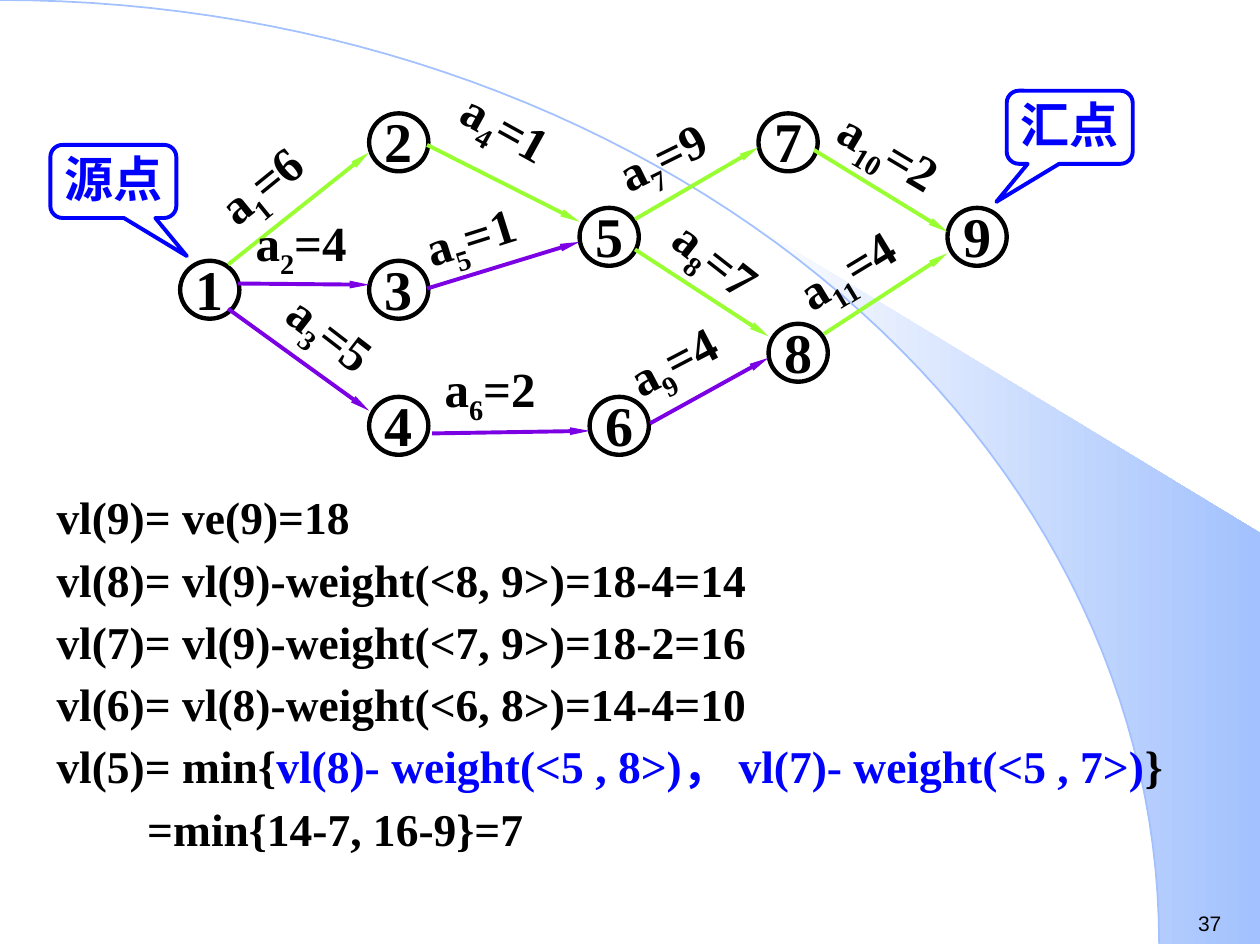
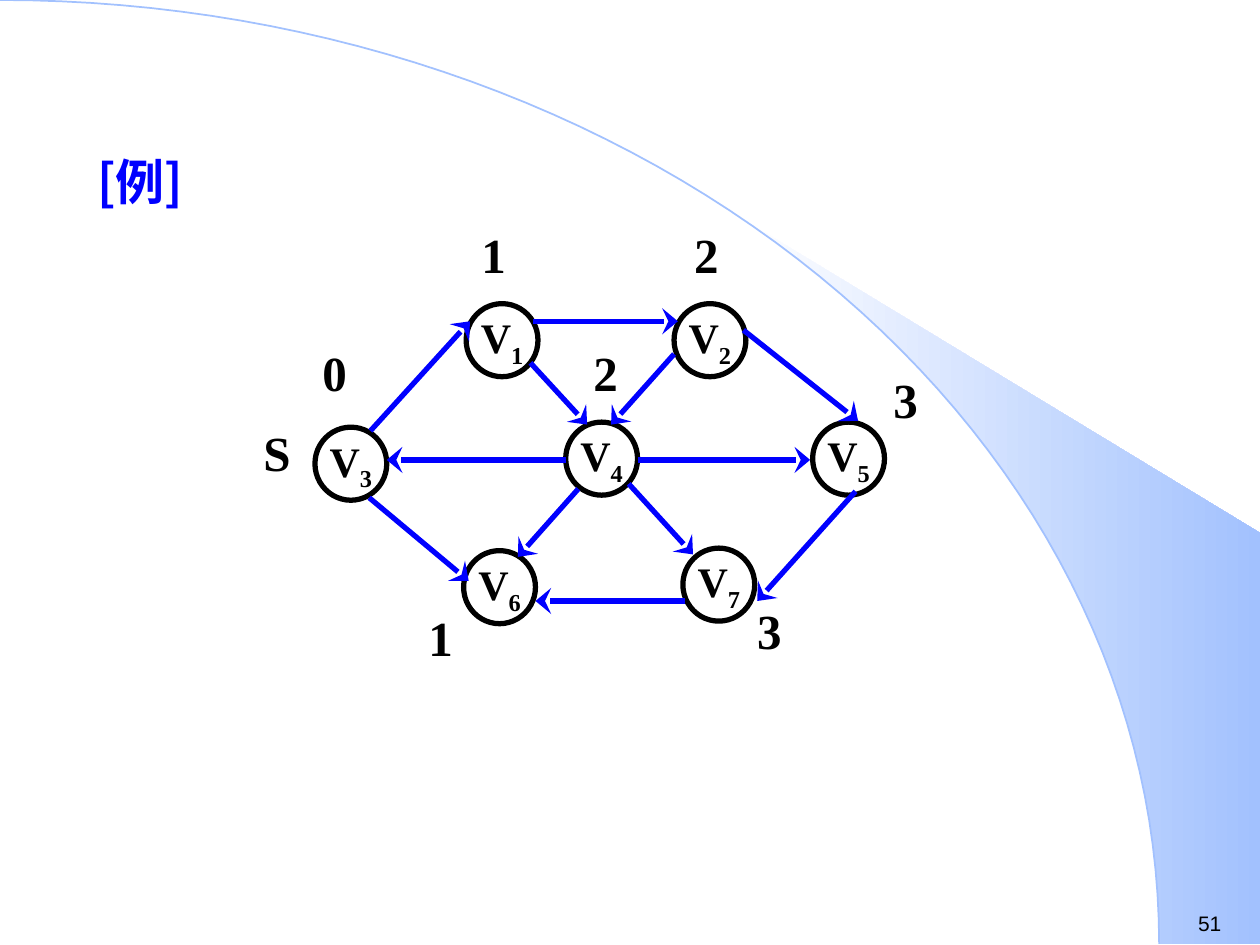
import math
from dataclasses import dataclass

import lxml.etree
import pptx
import pptx.dml.color
import pptx.enum.shapes
import pptx.enum.text
import pptx.oxml.ns
import pptx.util

COLUMNS, ROWS = 100, 75
CELL = pptx.util.Inches(0.1)


@dataclass(frozen=True)
class Theme:
    ink: str = "000000"
    blue: str = "0000FF"
    green: str = "99FF33"
    purple: str = "7B00E4"
    sky: str = "A2C1FE"
    paper: str = "FFFFFF"
    serif: str = "Times New Roman"
    sans: str = "Arial"
    cjk: str = "Noto Sans CJK SC"
    page_size: int = 12
    vertex_size: int = 24
    formula_size: int = 26
    label_size: int = 28
    event_size: int = 32


THEME = Theme()
ALIGN = pptx.enum.text.PP_ALIGN
ANCHOR = pptx.enum.text.MSO_ANCHOR
SHAPE = pptx.enum.shapes.MSO_SHAPE
TEXT_INSETS = (1, 0.5, 1, 0.5)
NO_INSETS = (0, 0, 0, 0)

CURVE = {"center_row": 74.9, "width": 92, "height": 74.9}
SHADE_START, SHADE_EDGE = 58.9, 42.3

EVENT_DIAMETER = (4.7, 4.6)
EVENTS = {
    "1": (14.3, 20.7), "2": (29.3, 9), "3": (29.3, 20.7),
    "4": (29.3, 31.5), "5": (46, 16.5), "6": (46.8, 31.5),
    "7": (60.2, 9), "8": (61, 25.7), "9": (75.2, 16.5),
}
ACTIVITIES = [
    ("1", "6", THEME.green, (18.1, 21, 29.3, 12.1), (15.5, 10.2), 320.9),
    ("2", "4", THEME.purple, (18.9, 22.5, 29.3, 22.6), (19.3, 16.4), 0),
    ("3", "5", THEME.purple, (18.1, 24.5, 29.3, 32.6), (21.2, 25.1), 37.7),
    ("4", "1", THEME.green, (33.9, 11.5, 46, 17.6), (35.3, 8.4), 28.9),
    ("5", "1", THEME.purple, (33.9, 22.9, 46, 19.2), (32.6, 15.1), 342.4),
    ("6", "2", THEME.purple, (34.3, 34.4, 46.8, 34.2), (34.3, 28), 0),
    ("7", "9", THEME.green, (50.4, 17.4, 60.2, 11.7), (47.7, 8.4), 333.8),
    ("8", "7", THEME.green, (50.4, 19.8, 61, 26.7), (51.8, 19.2), 38),
    ("9", "4", THEME.purple, (51.6, 33.6, 61, 28.4), (48.5, 24.6), 332.4),
    ("10", "2", THEME.green, (64.6, 11.9, 75.2, 18.4), (65.2, 10.1), 30.9),
    ("11", "4", THEME.green, (65.4, 26.5, 75.2, 20.1), (61.8, 17.5), 328.8),
]
ENDPOINTS = [("源点", (4, 11.5), 0.583), ("汇点", (79.9, 7.2), -0.583)]
LATEST_TIMES = [
    "vl(9)= ve(9)=18",
    "vl(8)= vl(9)-weight(<8, 9>)=18-4=14",
    "vl(7)= vl(9)-weight(<7, 9>)=18-2=16",
    "vl(6)= vl(8)-weight(<6, 8>)=14-4=10",
    [("vl(5)= min{", {}),
     ("vl(8)- weight(<5 , 8>)， vl(7)- weight(<5 , 7>)", {"color": THEME.blue}),
     ("}", {})],
    "=min{14-7, 16-9}=7",
]

EXAMPLE_TITLE = "[例]"
VERTEX_DIAMETER = (5.7, 5.8)
VERTICES = {
    "1": (37, 24.1), "2": (53.5, 24.1), "3": (25, 33.9), "4": (44.9, 33.5),
    "5": (64.5, 33.5), "6": (36.8, 43.7), "7": (54.2, 43.5),
}
DISTANCES = [
    ("S", 20.9, 33.5), ("0", 25.6, 27.2), ("1", 38.2, 17.8),
    ("2", 55.1, 17.8), ("2", 47.1, 27.2), ("3", 70.9, 29.3),
    ("1", 34, 48.2), ("3", 60.1, 47.7),
]
ARCS = [
    (29.4, 34.2, 37.3, 25.5), (42.3, 25.5, 53.8, 25.5),
    (59, 26.2, 68.1, 33.4), (67.9, 39, 60.1, 47.7),
    (54.4, 47.7, 42.5, 47.7), (44.9, 36.5, 30.7, 36.5),
    (50.6, 36.5, 64.3, 36.5), (42.1, 28.8, 46.6, 33.7),
    (53.5, 28.1, 48.5, 33.7), (45.9, 38.8, 41.1, 44.2),
    (49.9, 38.4, 55, 44), (29.3, 39.5, 37.2, 46.1),
]


def grid(*cells):
    return [round(cell * CELL) for cell in cells]


def rgb(color):
    return pptx.dml.color.RGBColor.from_string(color)


def with_subscript(letter, index, rest=""):
    return [(letter, {}), (index, {"baseline": -25000}), (rest, {})]


def format_run(run, size, color, font, bold, baseline=0):
    run.font.size = pptx.util.Pt(size)
    run.font.bold = bold
    run.font.color.rgb = rgb(color)
    run.font.name = font
    properties = run._r.get_or_add_rPr()
    lxml.etree.SubElement(properties, pptx.oxml.ns.qn("a:ea"), typeface=THEME.cjk)
    if baseline:
        properties.set("baseline", str(baseline))


def write(holder, paragraphs, size=THEME.label_size, color=THEME.ink,
          font=THEME.serif, bold=True, align=ALIGN.LEFT, anchor=ANCHOR.TOP,
          insets=TEXT_INSETS, wrap=True, line_spacing=None, space_before=0):
    frame = holder.text_frame
    frame.auto_size = pptx.enum.text.MSO_AUTO_SIZE.NONE
    frame.word_wrap = wrap
    frame.vertical_anchor = anchor
    (frame.margin_left, frame.margin_top,
     frame.margin_right, frame.margin_bottom) = grid(*insets)
    for number, content in enumerate(paragraphs):
        paragraph = frame.add_paragraph() if number else frame.paragraphs[0]
        paragraph.alignment = align
        if line_spacing:
            paragraph.line_spacing = line_spacing
        paragraph.space_before = pptx.util.Pt(space_before if number else 0)
        runs = [(content, {})] if isinstance(content, str) else content
        for words, changes in runs:
            if words:
                style = {"size": size, "color": color, "font": font, "bold": bold}
                run = paragraph.add_run()
                run.text = words
                format_run(run, **(style | changes))


def add_text(slide, left, top, width, height, paragraphs, rotation=0, **style):
    box = slide.shapes.add_textbox(*grid(left, top, width, height))
    box.rotation = rotation
    write(box, paragraphs, **style)
    return box


def outline(shape, color, weight):
    shape.shadow.inherit = False
    shape.fill.background()
    shape.line.color.rgb = rgb(color)
    shape.line.width = pptx.util.Pt(weight)


def add_outlined(slide, preset, place, diameter, color, weight):
    shape = slide.shapes.add_shape(preset, *grid(*place, *diameter))
    outline(shape, color, weight)
    return shape


def add_circle(slide, place, diameter, weight, content, **style):
    circle = add_outlined(slide, SHAPE.OVAL, place, diameter, THEME.ink, weight)
    write(circle, [content], align=ALIGN.CENTER, anchor=ANCHOR.MIDDLE,
          wrap=False, **style)


def add_arrow(slide, ends, color, weight, head, head_width, head_length):
    arrow = slide.shapes.add_connector(
        pptx.enum.shapes.MSO_CONNECTOR.STRAIGHT, *grid(*ends))
    arrow.line.color.rgb = rgb(color)
    arrow.line.width = pptx.util.Pt(weight)
    properties = arrow._element.spPr
    qn = pptx.oxml.ns.qn
    lxml.etree.SubElement(properties.get_or_add_ln(), qn("a:tailEnd"),
                          type=head, w=head_width, len=head_length)
    lxml.etree.SubElement(properties, qn("a:effectLst"))


def arc_points(first_column, steps=60):
    start = math.acos(first_column / CURVE["width"])
    angles = [start * (1 - step / steps) for step in range(steps + 1)]
    return [(CURVE["width"] * math.cos(angle),
             CURVE["center_row"] - CURVE["height"] * math.sin(angle))
            for angle in angles]


def add_path(slide, points, close):
    start, *rest = [grid(*point) for point in points]
    builder = slide.shapes.build_freeform(*start)
    builder.add_line_segments(rest, close=close)
    path_shape = builder.convert_to_shape()
    path_shape.shadow.inherit = False
    return path_shape


def add_backdrop(slide, page):
    corner = [(COLUMNS, CURVE["center_row"]), (COLUMNS, SHADE_EDGE)]
    shade = add_path(slide, arc_points(SHADE_START) + corner, close=True)
    shade.line.fill.background()
    shade.fill.gradient()
    shade.fill.gradient_angle = 0
    for stop, color in zip(shade.fill.gradient_stops, (THEME.paper, THEME.sky)):
        stop.color.rgb = rgb(color)
    outline(add_path(slide, arc_points(0), close=False), THEME.sky, 1)
    add_text(slide, 94.1, 71.8, 5.9, 3, [page], size=THEME.page_size,
             font=THEME.sans, bold=False)


def build_critical_path(deck):
    slide = deck.slides.add_slide(deck.slide_layouts[6])
    add_backdrop(slide, "37")
    formulas = add_text(slide, 3.5, 37.9, 92.9, 30.8, LATEST_TIMES,
                        size=THEME.formula_size, line_spacing=1.1, space_before=1.3)
    continuation = formulas.text_frame.paragraphs[-1]._p.get_or_add_pPr()
    continuation.set("marL", str(grid(7.2)[0]))
    for event, place in EVENTS.items():
        add_circle(slide, place, EVENT_DIAMETER, 2.5, event,
                   size=THEME.event_size, insets=(0, 0, 0, 0.3))
    for index, duration, color, ends, place, rotation in ACTIVITIES:
        add_text(slide, *place, 14.2, 5.7,
                 [with_subscript("a", index, "=" + duration)], rotation=rotation)
        add_arrow(slide, ends, color, 2.25, "triangle", "sm", "lg")
    for endpoint, place, pointer in ENDPOINTS:
        callout = add_outlined(slide, SHAPE.ROUNDED_RECTANGULAR_CALLOUT, place,
                               (10, 5.8), THEME.blue, 2.25)
        for number, share in enumerate((pointer, 1.021, 0.167)):
            callout.adjustments[number] = share
        write(callout, [endpoint], color=THEME.blue, align=ALIGN.CENTER,
              anchor=ANCHOR.MIDDLE, insets=(0, 0, 0, 0.6), wrap=False)


def build_shortest_paths(deck):
    slide = deck.slides.add_slide(deck.slide_layouts[5])
    add_backdrop(slide, "51")
    title = slide.shapes.title
    title.left, title.top, title.width, title.height = grid(6.7, 11.5, 57.5, 6.6)
    write(title, [EXAMPLE_TITLE], color=THEME.blue, font=THEME.cjk,
          align=ALIGN.JUSTIFY)
    for index, place in VERTICES.items():
        add_circle(slide, place, VERTEX_DIAMETER, 3, with_subscript("V", index),
                   size=THEME.vertex_size, insets=NO_INSETS)
    for distance, left, top in DISTANCES:
        add_text(slide, left, top, 4, 5, [distance], insets=NO_INSETS)
    for ends in ARCS:
        add_arrow(slide, ends, THEME.blue, 3, "stealth", "lg", "med")


def main():
    deck = pptx.Presentation()
    deck.slide_width, deck.slide_height = grid(COLUMNS, ROWS)
    build_critical_path(deck)
    build_shortest_paths(deck)
    deck.save("out.pptx")


if __name__ == "__main__":
    main()
